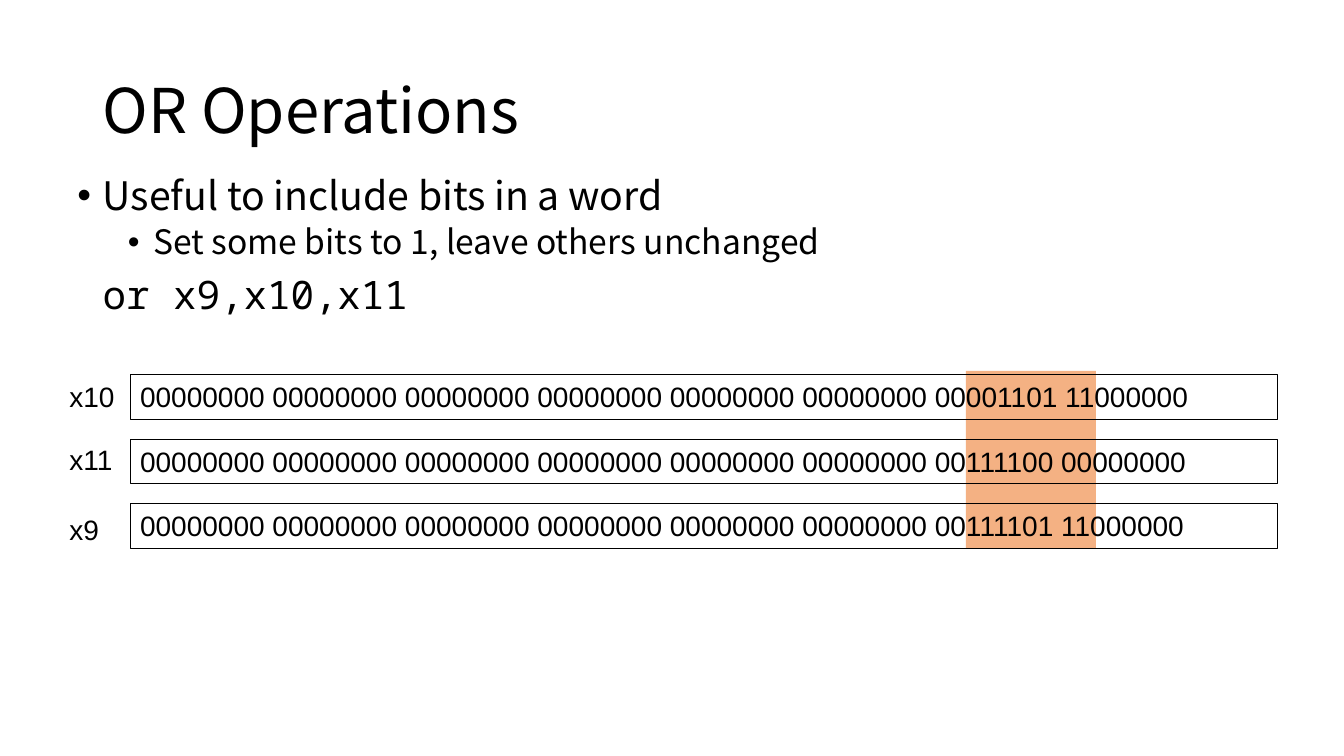
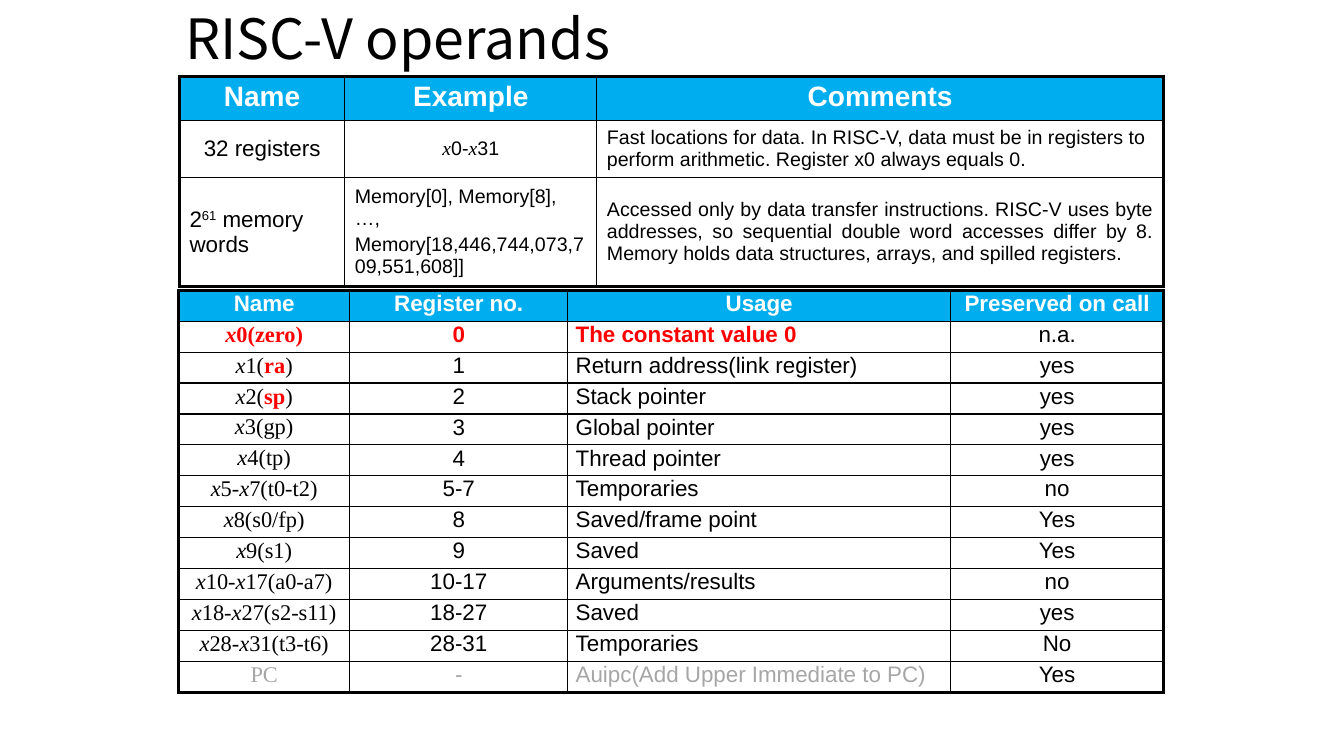
from lxml import etree
from pptx import Presentation
from pptx.dml.color import RGBColor
from pptx.enum.shapes import MSO_SHAPE
from pptx.enum.text import MSO_ANCHOR, PP_ALIGN
from pptx.oxml.ns import qn
from pptx.util import Inches, Pt

RECT = MSO_SHAPE.RECTANGLE
TOP, MIDDLE = MSO_ANCHOR.TOP, MSO_ANCHOR.MIDDLE
LEFT, CENTER, JUSTIFY = PP_ALIGN.LEFT, PP_ALIGN.CENTER, PP_ALIGN.JUSTIFY
BLACK = RGBColor(0x00, 0x00, 0x00)
WHITE = RGBColor(0xFF, 0xFF, 0xFF)
RED = RGBColor(0xFF, 0x00, 0x00)
GRAY = RGBColor(0xA6, 0xA6, 0xA6)
BLUE = RGBColor(0x00, 0xAE, 0xEF)
ORANGE = RGBColor(0xF4, 0xB1, 0x83)
SANS, MONO = "Noto Sans CJK SC", "Noto Sans Mono"
ARIAL, TIMES = "Arial", "Times New Roman"


def add_run(p, text, size, font=ARIAL, color=BLACK, bold=False, italic=False):
    r = p.add_run()
    r.text = text
    r.font.size = Pt(size)
    r.font.name = font
    r.font.color.rgb = color
    r.font.bold = bold
    r.font.italic = italic
    return r


def add_grid(s, left, top, widths, heights, margins):
    rows, cols = len(heights), len(widths)
    frame = s.shapes.add_table(rows, cols, Inches(left), Inches(top),
                               Inches(sum(widths)), Inches(sum(heights)))
    table = frame.table
    table.first_row = table.horz_banding = False
    for column, width in zip(table.columns, widths):
        column.width = Inches(width)
    for row, height in zip(table.rows, heights):
        row.height = Inches(height)
    for i in range(rows):
        for j in range(cols):
            cell = table.cell(i, j)
            cell.vertical_anchor = MIDDLE
            (cell.margin_left, cell.margin_top,
             cell.margin_right, cell.margin_bottom) = map(Inches, margins)
            edges = (("a:lnL", j == 0), ("a:lnR", j == cols - 1),
                     ("a:lnT", i == 0), ("a:lnB", i == rows - 1))
            tcPr = cell._tc.get_or_add_tcPr()
            for tag, outer in edges:
                ln = etree.SubElement(tcPr, qn(tag), w=str(Pt(2.25 if outer else 1)))
                fill = etree.SubElement(ln, qn("a:solidFill"))
                etree.SubElement(fill, qn("a:srgbClr"), val=str(BLACK))
            cell.fill.solid()
            cell.fill.fore_color.rgb = BLUE if i == 0 else WHITE
    return table


prs = Presentation()
prs.slide_width, prs.slide_height = Inches(13.33), Inches(7.5)

slides = []
for title, size, box in (
    ("OR Operations", 44, (0.92, 0.4, 11.5, 1.45)),
    ("RISC-V operands", 39.6, (1.74, 0.21, 8.61, 0.41)),
):
    s = prs.slides.add_slide(prs.slide_layouts[6])
    tf = s.shapes.add_textbox(*map(Inches, box)).text_frame
    tf.word_wrap = True
    tf.vertical_anchor = MIDDLE
    tf.paragraphs[0].line_spacing = 0.9
    add_run(tf.paragraphs[0], title, size, SANS)
    slides.append(s)
bits_slide, operands_slide = slides

s = bits_slide
tf = s.shapes.add_textbox(Inches(0.67), Inches(1.7), Inches(12), Inches(1.77)).text_frame
tf.word_wrap = True
for i, (text, size, font, indent, bullet, before) in enumerate((
    ("Useful to include bits in a word", 28, SANS, 0.25, True, 0),
    ("Set some bits to 1, leave others unchanged", 24, SANS, 0.75, True, 5),
    ("or x9,x10,x11", 28, MONO, 0.25, False, 10),
)):
    p = tf.add_paragraph() if i else tf.paragraphs[0]
    pPr = p._p.get_or_add_pPr()
    pPr.set("marL", str(Inches(indent)))
    if bullet:
        pPr.set("indent", str(Inches(-0.25)))
        etree.SubElement(pPr, qn("a:buFont"), typeface=ARIAL)
        etree.SubElement(pPr, qn("a:buChar"), char="•")
    p.line_spacing = 0.9
    p.space_before = Pt(before)
    add_run(p, text, size, font)

highlight = s.shapes.add_shape(RECT, Inches(9.58), Inches(3.68), Inches(1.29), Inches(1.76))
highlight.shadow.inherit = False
highlight.fill.solid()
highlight.fill.fore_color.rgb = ORANGE
highlight.line.fill.background()

for i, (name, label_top, low_bits) in enumerate((
    ("x10", 3.72, "00001101 11000000"),
    ("x11", 4.34, "00111100 00000000"),
    ("x9", 5.04, "00111101 11000000"),
)):
    word = s.shapes.add_shape(RECT, Inches(1.29), Inches(3.72 + 0.64 * i),
                              Inches(11.38), Inches(0.44))
    word.shadow.inherit = False
    word.fill.background()
    word.line.color.rgb = BLACK
    word.line.width = Pt(0.75)
    label = s.shapes.add_textbox(Inches(0.59), Inches(label_top), Inches(0.9), Inches(0.44))
    for sp, text in ((word, "00000000 " * 6 + low_bits), (label, name)):
        tf = sp.text_frame
        tf.word_wrap = True
        tf.vertical_anchor = TOP
        tf.paragraphs[0].alignment = LEFT
        add_run(tf.paragraphs[0], text, 20)

s = operands_slide
registers = (
    ("0", "The constant value 0", "n.a.", [("x0(zero)", RED)]),
    ("1", "Return address(link register)", "yes", [("x1(", BLACK), ("ra", RED), (")", BLACK)]),
    ("2", "Stack pointer", "yes", [("x2(", BLACK), ("sp", RED), (")", BLACK)]),
    ("3", "Global pointer", "yes", [("x3(gp)", BLACK)]),
    ("4", "Thread pointer", "yes", [("x4(tp)", BLACK)]),
    ("5-7", "Temporaries", "no", [("x5-x7(t0-t2)", BLACK)]),
    ("8", "Saved/frame point", "Yes", [("x8(s0/fp)", BLACK)]),
    ("9", "Saved", "Yes", [("x9(s1)", BLACK)]),
    ("10-17", "Arguments/results", "no", [("x10-x17(a0-a7)", BLACK)]),
    ("18-27", "Saved", "yes", [("x18-x27(s2-s11)", BLACK)]),
    ("28-31", "Temporaries", "No", [("x28-x31(t3-t6)", BLACK)]),
    ("-", "Auipc(Add Upper Immediate to PC)", "Yes", [("PC", GRAY)]),
)
table = add_grid(s, 1.77, 2.88, (1.7, 2.16, 3.8, 2.11),
                 [3.98 / 13] * 13, (0.08, 0, 0.08, 0.04))
for j, text in enumerate(("Name", "Register no.", "Usage", "Preserved on call")):
    p = table.cell(0, j).text_frame.paragraphs[0]
    p.alignment = CENTER
    add_run(p, text, 16, color=WHITE, bold=True)
for i, (number, usage, preserved, name_parts) in enumerate(registers, 1):
    p = table.cell(i, 0).text_frame.paragraphs[0]
    p.alignment = CENTER
    for part, color in name_parts:
        for k, piece in enumerate(part.split("x")):
            if k:
                add_run(p, "x", 16, TIMES, color, color == RED, True)
            if piece:
                add_run(p, piece, 16, TIMES, color, color == RED)
    row_color = name_parts[0][1]
    for j, text, align, color in ((1, number, CENTER, row_color),
                                  (2, usage, LEFT, row_color),
                                  (3, preserved, CENTER, BLACK)):
        p = table.cell(i, j).text_frame.paragraphs[0]
        p.alignment = align
        add_run(p, text, 16, color=color, bold=color == RED)

table = add_grid(s, 1.78, 0.76, (1.64, 2.5, 5.62), (0.43, 0.57, 0.86),
                 (0.1, 0.05, 0.1, 0.05))
for j, text in enumerate(("Name", "Example", "Comments")):
    cell = table.cell(0, j)
    cell.vertical_anchor = TOP
    p = cell.text_frame.paragraphs[0]
    p.alignment = CENTER
    add_run(p, text, 20, color=WHITE, bold=True)
for i, j, size, align, lines in (
    (1, 0, 16, CENTER, ["32 registers"]),
    (1, 2, 14, LEFT, ["Fast locations for data. In RISC-V, data must be in registers to "
                      "perform arithmetic. Register x0 always equals 0."]),
    (2, 1, 14, LEFT, ["Memory[0], Memory[8], …,", "Memory[18,446,744,073,709,551,608]]"]),
    (2, 2, 14, JUSTIFY, ["Accessed only by data transfer instructions. RISC-V uses byte "
                         "addresses, so sequential double word accesses differ by 8. "
                         "Memory holds data structures, arrays, and spilled registers."]),
):
    tf = table.cell(i, j).text_frame
    for k, line in enumerate(lines):
        p = tf.add_paragraph() if k else tf.paragraphs[0]
        p.alignment = align
        p.space_before = Pt(3 if k else 0)
        add_run(p, line, size)

p = table.cell(1, 1).text_frame.paragraphs[0]
p.alignment = CENTER
for text in ("0-", "31"):
    add_run(p, "x", 14, TIMES, italic=True)
    add_run(p, text, 14)

p = table.cell(2, 0).text_frame.paragraphs[0]
add_run(p, "2", 16)
exponent = add_run(p, "61", 16)
exponent.font._element.set("baseline", "30000")
add_run(p, " memory words", 16)

prs.save("out.pptx")
